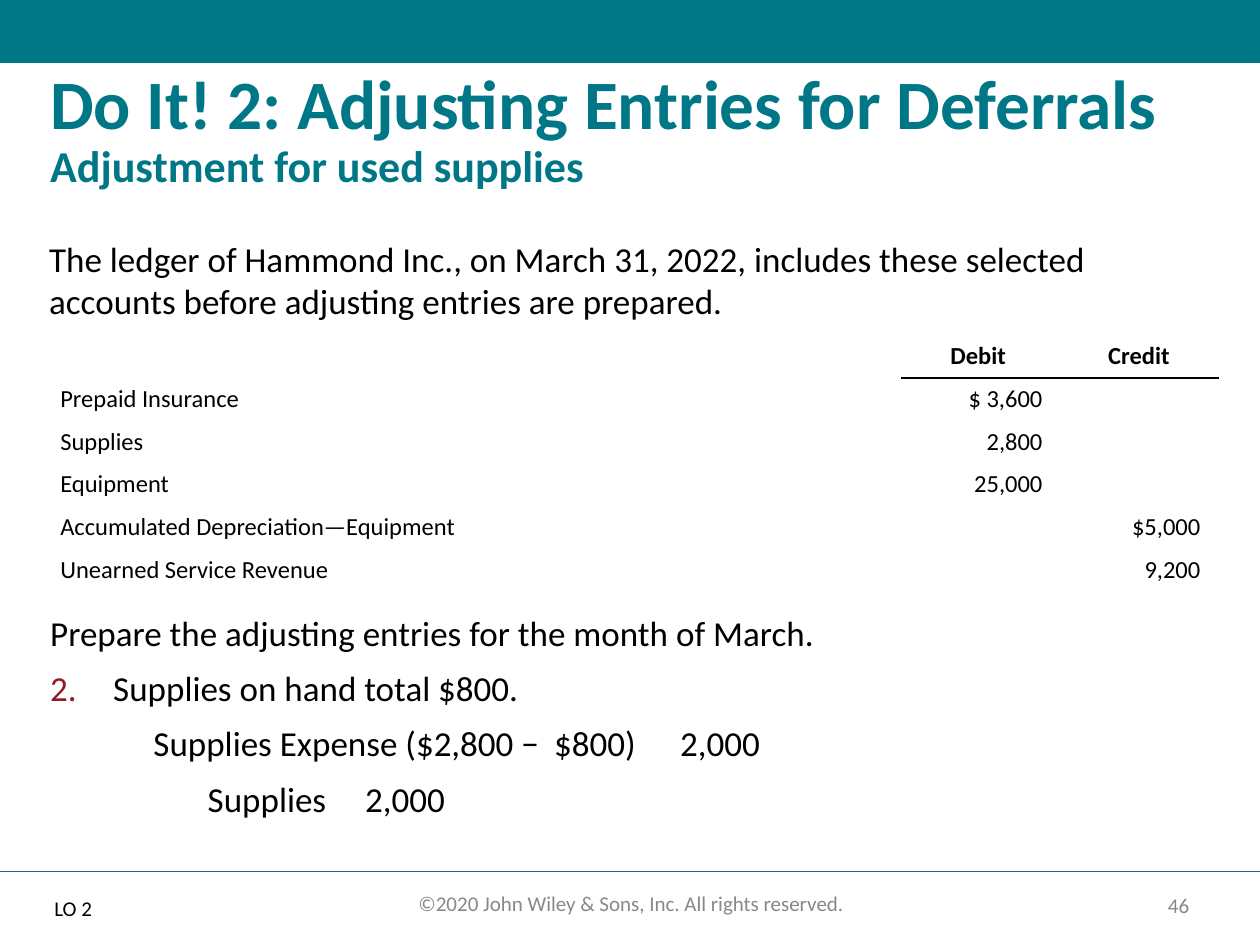
from lxml import etree
from pptx import Presentation
from pptx import util as u
from pptx.dml.color import RGBColor
from pptx.enum import shapes, text
from pptx.oxml import ns

Pt = u.Pt
TEAL = RGBColor(0x00, 0x77, 0x87)
RULE = RGBColor(0x19, 0x6E, 0x78)
GRAY = RGBColor(0x88, 0x88, 0x88)
RED = RGBColor(0x91, 0x1B, 0x21)
BLACK = RGBColor(0, 0, 0)
LEFT, CENTER, RIGHT = text.PP_ALIGN.LEFT, text.PP_ALIGN.CENTER, text.PP_ALIGN.RIGHT

ACCOUNTS = [
    ("", "Debit ", "Credit"),
    ("Prepaid Insurance", "$ 3,600", ""),
    ("Supplies", "2,800", ""),
    ("Equipment", "25,000", ""),
    ("Accumulated Depreciation—Equipment", "", "$5,000"),
    ("Unearned Service Revenue", "", "9,200"),
]


def sub(parent, tag, **attributes):
    return etree.SubElement(parent, ns.qn(tag), attributes)


def solid(parent, color):
    sub(sub(parent, "a:solidFill"), "a:srgbClr", val=str(color))


class Painter:
    font = "Calibri"

    def __init__(self, page):
        self.page = page

    def span(self, para, words, size, color=BLACK, bold=False):
        span = para.add_run()
        span.text = words
        span.font.name = self.font
        span.font.size = Pt(size)
        span.font.bold = bold
        span.font.color.rgb = color

    def band(self, left, top, width, height, color):
        band = self.page.shapes.add_shape(
            shapes.MSO_SHAPE.RECTANGLE, Pt(left), Pt(top), Pt(width), Pt(height))
        band.shadow.inherit = False
        band.fill.solid()
        band.fill.fore_color.rgb = color
        band.line.fill.background()

    def rule(self, left, right, y, color):
        rule = self.page.shapes.add_connector(
            shapes.MSO_CONNECTOR.STRAIGHT, Pt(left), Pt(y), Pt(right), Pt(y))
        rule.line.color.rgb = color
        rule.line.width = Pt(1)
        sub(rule._element.spPr, "a:effectLst")

    def box(self, left, top, width, height):
        frame = self.page.shapes.add_textbox(
            Pt(left), Pt(top), Pt(width), Pt(height)).text_frame
        frame.word_wrap = True
        return frame

    def label(self, place, words, size, color=BLACK, align=LEFT):
        frame = self.box(*place)
        para = frame.paragraphs[0]
        para.alignment = align
        self.span(para, words, size, color)
        return frame

    def title(self, place, heading, subheading):
        para = self.box(*place).paragraphs[0]
        para.line_spacing = 0.9
        self.span(para, heading, 39.6, TEAL, True)
        para.add_line_break()
        self.span(para, subheading, 25.2, TEAL, True)

    def entry(self, frame, words, margin=0, indent=0, number=None, tabs=()):
        """Add a journal line, with an optional list number and tab stops."""
        para = frame.add_paragraph()
        para.line_spacing = 0.9
        para.space_before = Pt(10)
        props = para._p.get_or_add_pPr()
        props.set("marL", str(Pt(margin)))
        props.set("indent", str(Pt(indent)))
        if number:
            sub(sub(props, "a:buClr"), "a:srgbClr", val=str(RED))
            sub(props, "a:buFont", typeface=self.font)
            sub(props, "a:buAutoNum", type="arabicPeriod", startAt=str(number))
        if tabs:
            stops = sub(props, "a:tabLst")
            for stop in tabs:
                sub(stops, "a:tab", pos=str(Pt(stop)), algn="l")
        self.span(para, words, 20)

    def cell(self, cell, words, align, bold, edge):
        cell.margin_left = cell.margin_right = Pt(10)
        # An empty cell keeps the default text size, so it needs no padding
        cell.margin_top = cell.margin_bottom = Pt(3.6 if words else 0)
        if edge:
            line = sub(cell._tc.get_or_add_tcPr(), edge, w=str(Pt(1)))
            solid(line, BLACK)
        cell.fill.background()
        if words:
            para = cell.text_frame.paragraphs[0]
            para.alignment = align
            self.span(para, words, 14, bold=bold)

    def ledger(self, left, top, widths, row_height, rows):
        table = self.page.shapes.add_table(
            len(rows), len(widths), Pt(left), Pt(top),
            Pt(sum(widths)), Pt(row_height * len(rows))).table
        table.first_row = table.horz_banding = False
        for column, width in zip(table.columns, widths):
            column.width = Pt(width)
        for r, row in enumerate(rows):
            table.rows[r].height = Pt(row_height)
            for c, words in enumerate(row):
                align = LEFT if c == 0 else CENTER if r == 0 else RIGHT
                edge = {0: "a:lnB", 1: "a:lnT"}.get(r) if c else None
                self.cell(table.cell(r, c), words, align, r == 0, edge)


def main():
    deck = Presentation()
    deck.slide_width, deck.slide_height = Pt(720), Pt(540)
    painter = Painter(deck.slides.add_slide(deck.slide_layouts[6]))

    painter.band(0, 0, 720, 36, TEAL)
    painter.rule(0, 720, 498, RULE)
    number = painter.label((651.5, 507, 44, 20), "46", 12, GRAY, CENTER)
    number.vertical_anchor = text.MSO_ANCHOR.MIDDLE
    painter.label((204.5, 505.5, 312.5, 21.6),
                  "©2020 John Wiley & Sons, Inc. All rights reserved.", 12, GRAY, CENTER)

    painter.title((21.6, 36, 674, 77), "Do It! 2: Adjusting Entries for Deferrals",
                  "Adjustment for used supplies")
    painter.label((21, 132, 672, 55),
                  "The ledger of Hammond Inc., on March 31, 2022, includes these selected "
                  "accounts before adjusting entries are prepared.", 20)
    painter.ledger(24.5, 191.5, (491, 90.25, 90.25), 24.4, ACCOUNTS)

    journal = painter.label((21.6, 348.5, 674, 134),
                            "Prepare the adjusting entries for the month of March.", 20)
    journal.paragraphs[0].line_spacing = 0.9
    painter.entry(journal, "Supplies on hand total $800.", 36, -36, number=2)
    painter.entry(journal, "Supplies Expense ($2,800 −\t$800)\t2,000", indent=59, tabs=(288, 360))
    painter.entry(journal, "Supplies\t2,000", indent=90, tabs=(432,))

    objective = painter.label((24, 510, 48, 24), "LO 2", 12)
    objective.paragraphs[0].line_spacing = 0.9
    deck.save("out.pptx")


if __name__ == "__main__":
    main()
